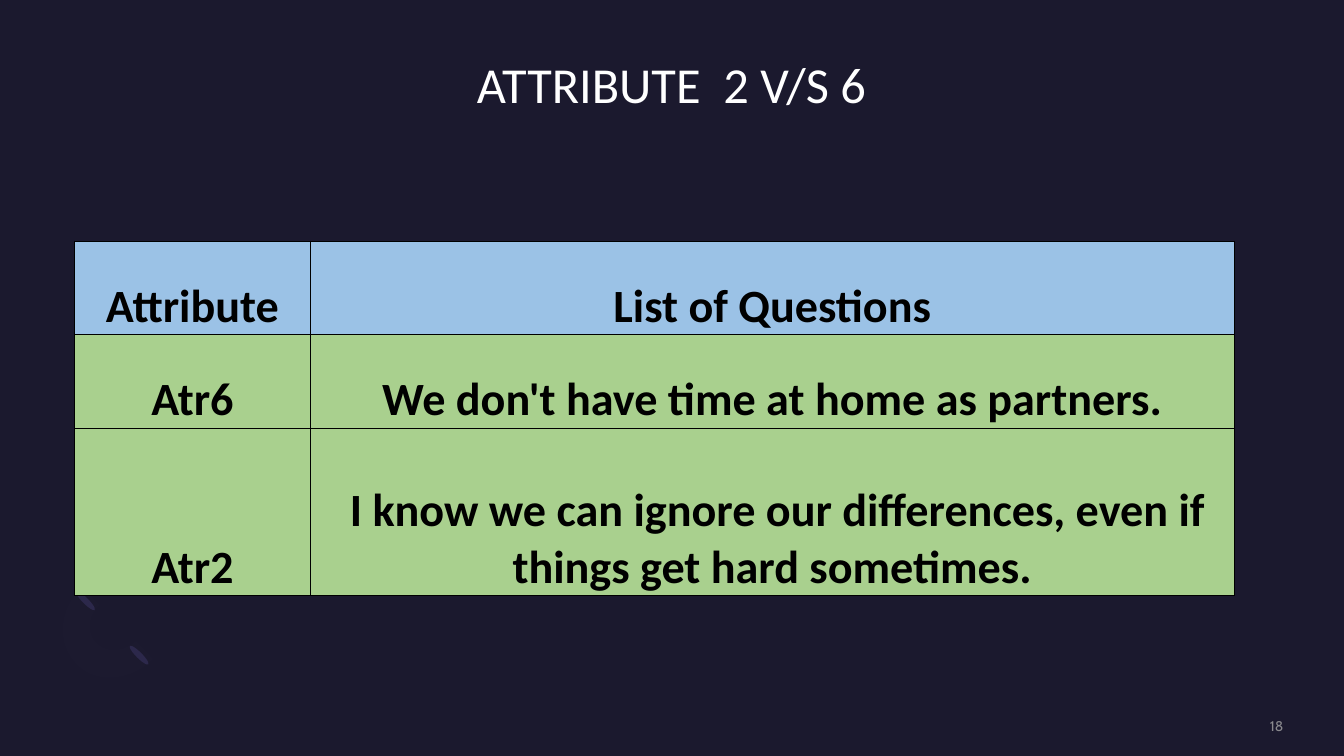
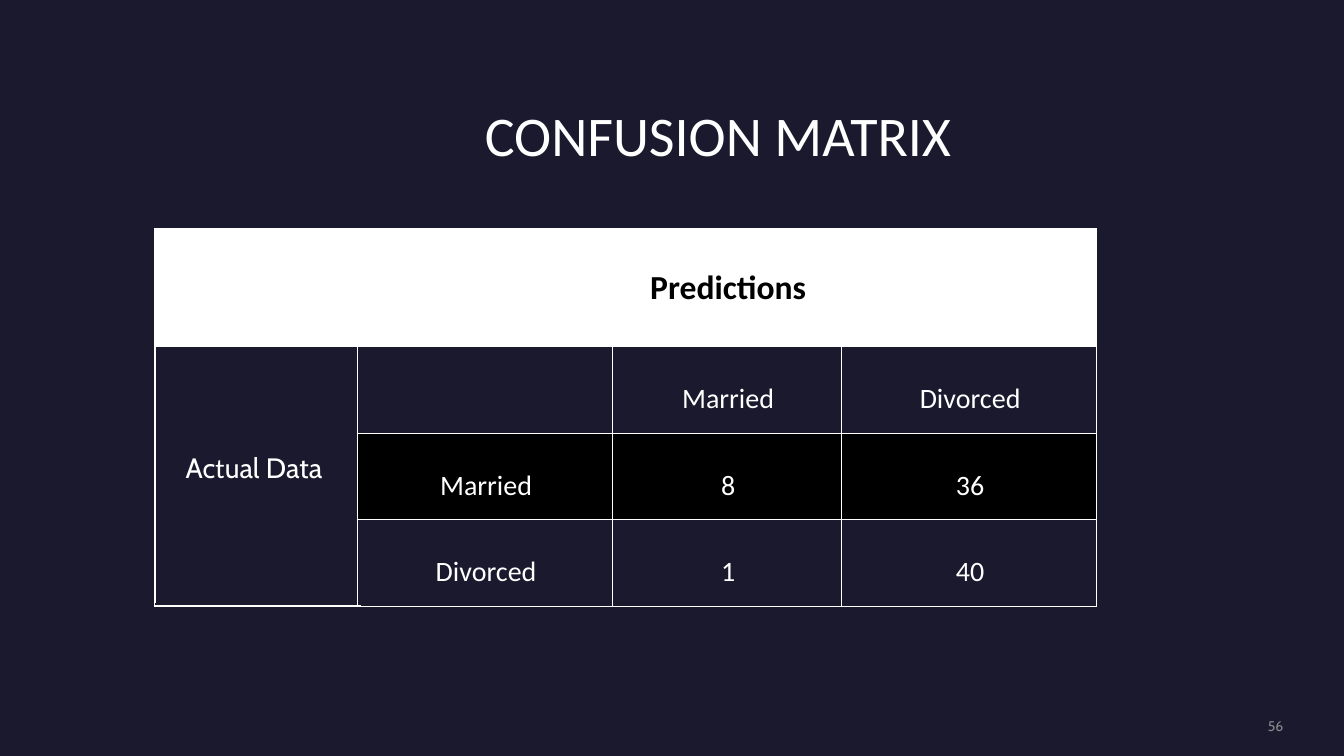
from lxml import etree
from pptx import Presentation
from pptx.dml.color import RGBColor
from pptx.enum.shapes import MSO_CONNECTOR, MSO_SHAPE
from pptx.enum.text import MSO_ANCHOR, PP_ALIGN
from pptx.oxml.ns import qn
from pptx.util import Cm, Pt

CENTER, RIGHT = PP_ALIGN.CENTER, PP_ALIGN.RIGHT
TOP, MIDDLE, BOTTOM = MSO_ANCHOR.TOP, MSO_ANCHOR.MIDDLE, MSO_ANCHOR.BOTTOM
OVAL, STRAIGHT = MSO_SHAPE.OVAL, MSO_CONNECTOR.STRAIGHT

NIGHT = RGBColor(0x1B, 0x19, 0x2E)
INDIGO = RGBColor(0x2C, 0x28, 0x4A)
LAVENDER = RGBColor(0x77, 0x71, 0xB2)
WHITE = RGBColor(0xFF, 0xFF, 0xFF)
BLACK = RGBColor(0x00, 0x00, 0x00)
GREY = RGBColor(0xA6, 0xA6, 0xA6)
BLUE = RGBColor(0x9B, 0xC2, 0xE6)
GREEN = RGBColor(0xA9, 0xD0, 0x8E)

HEADING, BODY = "Calibri", "Cabin"
NUMBER_BOX = (27.64, 18.08, 4.7, 0.43)
NUMBER_FORMAT = {"name": BODY, "size": Pt(10)}

# Content: a cell is a text or a list of (text, font) runs
QUESTIONS = {
    "title": ("ATTRIBUTE  2 V/S 6", (1.52, 1.52, 30.81, 3.71), 36, TOP),
    "number": "18",
    "at": (1.88, 6.07),
    "columns": (5.94, 23.29),
    "rows": (2.36, 2.36, 4.22),
    "cells": [
        ["Attribute", "List of Questions"],
        ["Atr6", "We don't have time at home as partners."],
        ["Atr2", " I know we can ignore our differences, "
                 "even if things get hard sometimes."],
    ],
    "fills": [BLUE, GREEN, GREEN],
    "merges": [],
    "border": (BLACK, 0.5),
    "font": {"name": HEADING, "size": Pt(33), "bold": True},
    "color": BLACK,
    "margins": (0.08, 0.08, 0.08, 0),
    "special": {},
}
MATRIX = {
    "title": ("CONFUSION MATRIX ", (4.17, 1.52, 28.17, 2.72), 40, BOTTOM),
    "number": "56",
    "at": (3.89, 5.77),
    "columns": (5.11, 6.43, 5.77, 6.43),
    "rows": (2.97, 2.18, 2.18, 2.18),
    "cells": [
        ["", "Predictions", None, None],
        [[("Ac", BODY), ("t", HEADING), ("ual Data ", BODY)],
         "", "Married", "Divorced"],
        [None, "Married", "8", "36"],
        [None, "Divorced", "1", "40"],
    ],
    "fills": [WHITE, None, BLACK, None],
    "merges": [((0, 1), (0, 3)), ((1, 0), (3, 0))],
    "border": (WHITE, 1),
    "font": {"name": HEADING, "size": Pt(20), "bold": False},
    "color": WHITE,
    "margins": (0.3, 0.03, 0.23, 0.43),
    "special": {
        (0, 1): {"font": {"size": Pt(24), "bold": True}, "color": BLACK,
                 "margins": (0.3, 0.43, 0.23, 0.43), "anchor": MIDDLE},
        (1, 0): {"anchor": MIDDLE},
    },
}
EDGE_LINES = [(3.91, 5.77, 3.91, 15.19), (9.09, 15.27, 3.89, 15.27)]

# Half ring: a start point, then lines (1 point) and curves (3 points)
RING_START = (1.93, 16.74)
RING_PARTS = [
    [(1.42, 16.23), (1.47, 15.37), (2.06, 14.78)],
    [(2.51, 15.24)],
    [(2.21, 15.52), (2.18, 15.98), (2.44, 16.21)],
    [(2.69, 16.46), (3.12, 16.43), (3.43, 16.15)],
    [(3.86, 16.61)],
    [(3.3, 17.17), (2.41, 17.25), (1.93, 16.74)],
]
RING_ENDS = [(3.43, 16.18), (2.08, 14.81)]
CURVE_STEPS = 10


def lengths(values):
    return [Cm(value) for value in values]


def apply_format(target, values):
    for name, value in values.items():
        setattr(target, name, value)


def set_opacity(element, percent):
    color = element.find(".//" + qn("a:srgbClr"))
    etree.SubElement(color, qn("a:alpha")).set("val", str(percent * 1000))


def set_margins(holder, values):
    names = ("margin_left", "margin_top", "margin_right", "margin_bottom")
    apply_format(holder, dict(zip(names, lengths(values))))


def add_span(para, text, font, color):
    span = para.add_run()
    span.text = text
    apply_format(span.font, font)
    span.font.color.rgb = color
    return span


def add_text(page, text, area, font, color, align, anchor):
    frame = page.shapes.add_textbox(*lengths(area)).text_frame
    frame.word_wrap = True
    frame.vertical_anchor = anchor
    set_margins(frame, (0, 0, 0, 0))
    para = frame.paragraphs[0]
    para.alignment = align
    return para, add_span(para, text, font, color)


def add_frame(page, content):
    """Title and page number."""
    text, area, size, anchor = content["title"]
    font = {"name": HEADING, "size": Pt(size)}
    para, _ = add_text(page, text, area, font, WHITE, CENTER, anchor)
    para.line_spacing = 0.9
    _, span = add_text(page, content["number"], NUMBER_BOX, NUMBER_FORMAT,
                       GREY, RIGHT, MIDDLE)
    set_opacity(span._r, 80)


def set_borders(cell, color, width):
    properties = cell._tc.get_or_add_tcPr()
    for side in ("a:lnL", "a:lnR", "a:lnT", "a:lnB"):
        line = etree.SubElement(properties, qn(side), w=str(Pt(width)))
        fill = etree.SubElement(line, qn("a:solidFill"))
        etree.SubElement(fill, qn("a:srgbClr"), val=str(color))


def fill_cell(cell, text, content, special):
    style = {**content, **special}
    font = {**content["font"], **special.get("font", {})}
    cell.vertical_anchor = style.get("anchor", BOTTOM)
    set_margins(cell, style["margins"])
    para = cell.text_frame.paragraphs[0]
    para.alignment = CENTER
    spans = [(text, font["name"])] if isinstance(text, str) else text
    for part, name in spans:
        if part:
            add_span(para, part, {**font, "name": name}, style["color"])


def add_grid(page, content):
    columns, rows = lengths(content["columns"]), lengths(content["rows"])
    table = page.shapes.add_table(
        len(rows), len(columns), *lengths(content["at"]),
        sum(columns), sum(rows)).table
    table.first_row = table.horz_banding = False
    for column, width in zip(table.columns, columns):
        column.width = width
    for row, height in zip(table.rows, rows):
        row.height = height
    for r, (texts, fill) in enumerate(zip(content["cells"], content["fills"])):
        for c, text in enumerate(texts):
            cell = table.cell(r, c)
            set_borders(cell, *content["border"])
            if fill is None:
                cell.fill.background()
            else:
                cell.fill.solid()
                cell.fill.fore_color.rgb = fill
            if text is not None:
                fill_cell(cell, text, content, content["special"].get((r, c), {}))
    for first, last in content["merges"]:
        table.cell(*first).merge(table.cell(*last))


def paint(shape, color):
    shape.shadow.inherit = False
    shape.fill.solid()
    shape.fill.fore_color.rgb = color
    shape.line.fill.background()


def curve_points(start, controls):
    """Points along a cubic curve."""
    corners = [start, *controls]
    for step in range(1, CURVE_STEPS + 1):
        t = step / CURVE_STEPS
        weights = ((1 - t) ** 3, 3 * t * (1 - t) ** 2, 3 * t * t * (1 - t), t ** 3)
        yield tuple(sum(w * corner[axis] for w, corner in zip(weights, corners))
                    for axis in (0, 1))


def add_ring(page):
    for left, top in RING_ENDS:
        end = page.shapes.add_shape(OVAL, *lengths((left, top, 0.15, 0.66)))
        end.rotation = 135
        paint(end, INDIGO)
    points = [RING_START]
    for part in RING_PARTS:
        points += part if len(part) == 1 else curve_points(points[-1], part)
    builder = page.shapes.build_freeform(*lengths(RING_START))
    builder.add_line_segments([lengths(point) for point in points[1:]], close=True)
    ring = builder.convert_to_shape()
    paint(ring, LAVENDER)
    set_opacity(ring._element.spPr, 1)


def add_edge(page, ends):
    edge = page.shapes.add_connector(STRAIGHT, *lengths(ends))
    edge.line.color.rgb = WHITE
    edge.line.width = Pt(1)
    etree.SubElement(edge._element.spPr, qn("a:effectLst"))


def main():
    deck = Presentation()
    deck.slide_width, deck.slide_height = Cm(33.87), Cm(19.05)
    backdrop = deck.slide_master.background.fill
    backdrop.solid()
    backdrop.fore_color.rgb = NIGHT
    blank = deck.slide_layouts[6]

    # Attribute questions
    page = deck.slides.add_slide(blank)
    add_ring(page)
    add_frame(page, QUESTIONS)
    add_grid(page, QUESTIONS)

    # Confusion matrix
    page = deck.slides.add_slide(blank)
    add_frame(page, MATRIX)
    add_grid(page, MATRIX)
    for ends in EDGE_LINES:
        add_edge(page, ends)

    deck.save("out.pptx")


if __name__ == "__main__":
    main()
